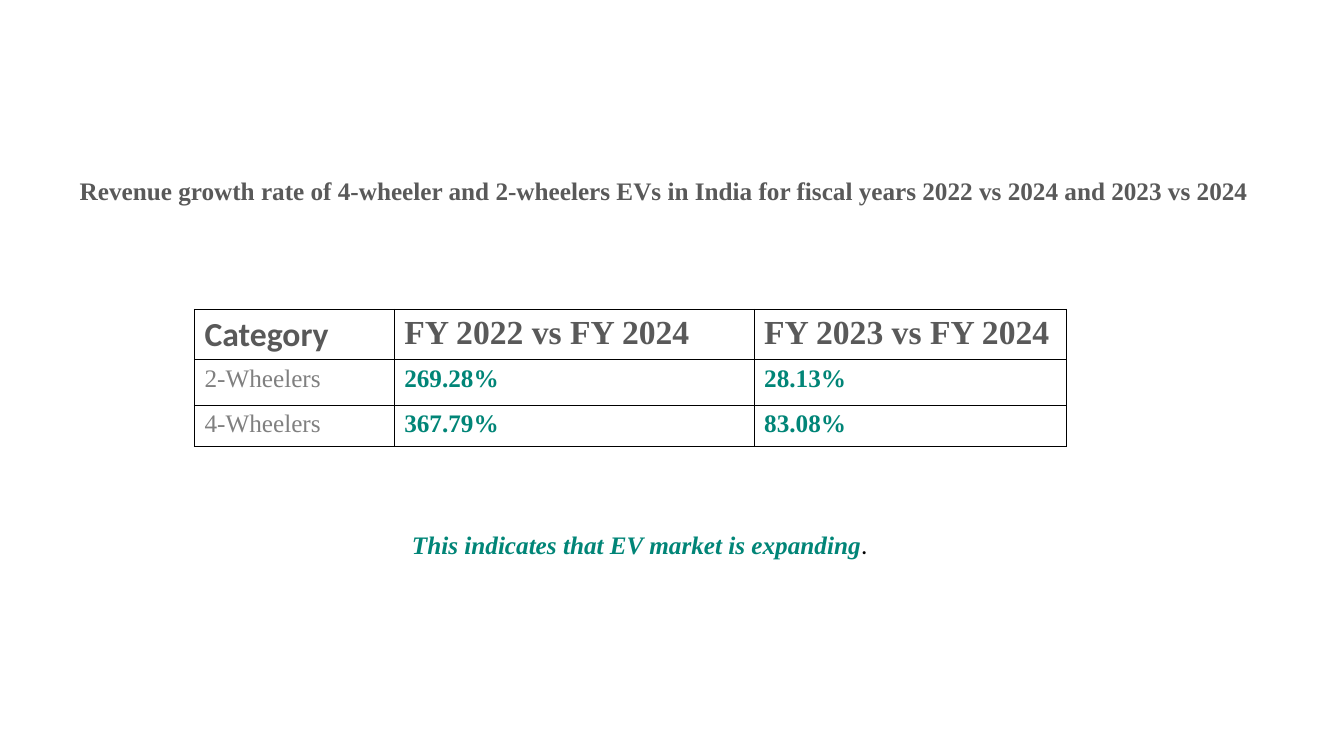
from pptx import Presentation
from pptx.dml.color import RGBColor
from pptx.enum.text import PP_ALIGN
from pptx.oxml import parse_xml
from pptx.oxml.ns import nsdecls
from pptx.util import Inches, Pt

WIDE, HIGH = 13.33, 7.5
SERIF, SANS = "Times New Roman", "Calibri"
DARK, GREY, TEAL, BLACK = "595959", "808080", "018577", "000000"
COLS = [1.98, 3.57, 3.1]
ROWS = [0.5, 0.45, 0.41]
GROWTH = [
    ["Category", "FY 2022 vs FY 2024", "FY 2023 vs FY 2024"],
    ["2-Wheelers", "269.28%", "28.13%"],
    ["4-Wheelers", "367.79%", "83.08%"],
]


def paint(color, tone):
    color.rgb = RGBColor.from_string(tone)


def style(font, size, tone, name=SERIF, bold=True, slant=False):
    font.size, font.name = Pt(size), name
    font.bold, font.italic = bold, slant
    paint(font.color, tone)


def add_line(slide, left, top, width):
    """Add a centred one-line text box and return its paragraph."""
    box = slide.shapes.add_textbox(
        Inches(left), Inches(top), Inches(width), Inches(0.4))
    box.text_frame.word_wrap = True
    line = box.text_frame.paragraphs[0]
    line.alignment = PP_ALIGN.CENTER
    return line


def add_edges(cell):
    props = cell._tc.get_or_add_tcPr()
    for at, side in enumerate(("lnL", "lnR", "lnT", "lnB")):
        props.insert(at, parse_xml(
            f'<a:{side} {nsdecls("a")} w="{Pt(1)}"><a:solidFill>'
            f'<a:srgbClr val="{BLACK}"/></a:solidFill></a:{side}>'))


def add_grid(slide, left, top):
    grid = slide.shapes.add_table(
        len(ROWS), len(COLS), Inches(left), Inches(top),
        Inches(sum(COLS)), Inches(sum(ROWS))).table
    grid.first_row = grid.horz_banding = False
    for col, width in zip(grid.columns, COLS):
        col.width = Inches(width)
    for row, height in zip(grid.rows, ROWS):
        row.height = Inches(height)
    for r, words in enumerate(GROWTH):
        for c, word in enumerate(words):
            cell = grid.cell(r, c)
            cell.text = word
            cell.fill.background()
            add_edges(cell)
            font = cell.text_frame.paragraphs[0].font
            if r == 0:
                style(font, 24, DARK, SERIF if c else SANS)
            else:
                style(font, 18, TEAL if c else GREY, bold=c > 0)


def main():
    deck = Presentation()
    deck.slide_width, deck.slide_height = Inches(WIDE), Inches(HIGH)
    slide = deck.slides.add_slide(deck.slide_layouts[6])

    # Title
    title = add_line(slide, 0.63, 1.69, 11.91)
    title.text = ("Revenue growth rate of 4-wheeler and 2-wheelers EVs in India "
                  "for fiscal years 2022 vs 2024 and 2023 vs 2024")
    style(title.font, 18, DARK)

    # Growth table
    add_grid(slide, 1.93, 3.07)

    # Closing remark, with a plain full stop
    note = add_line(slide, 1.66, 5.2, 9.37)
    claim, stop = note.add_run(), note.add_run()
    claim.text, stop.text = "This indicates that EV market is expanding", "."
    style(claim.font, 18, TEAL, slant=True)
    style(stop.font, 18, BLACK, SANS, bold=False)

    deck.save("out.pptx")


if __name__ == "__main__":
    main()
